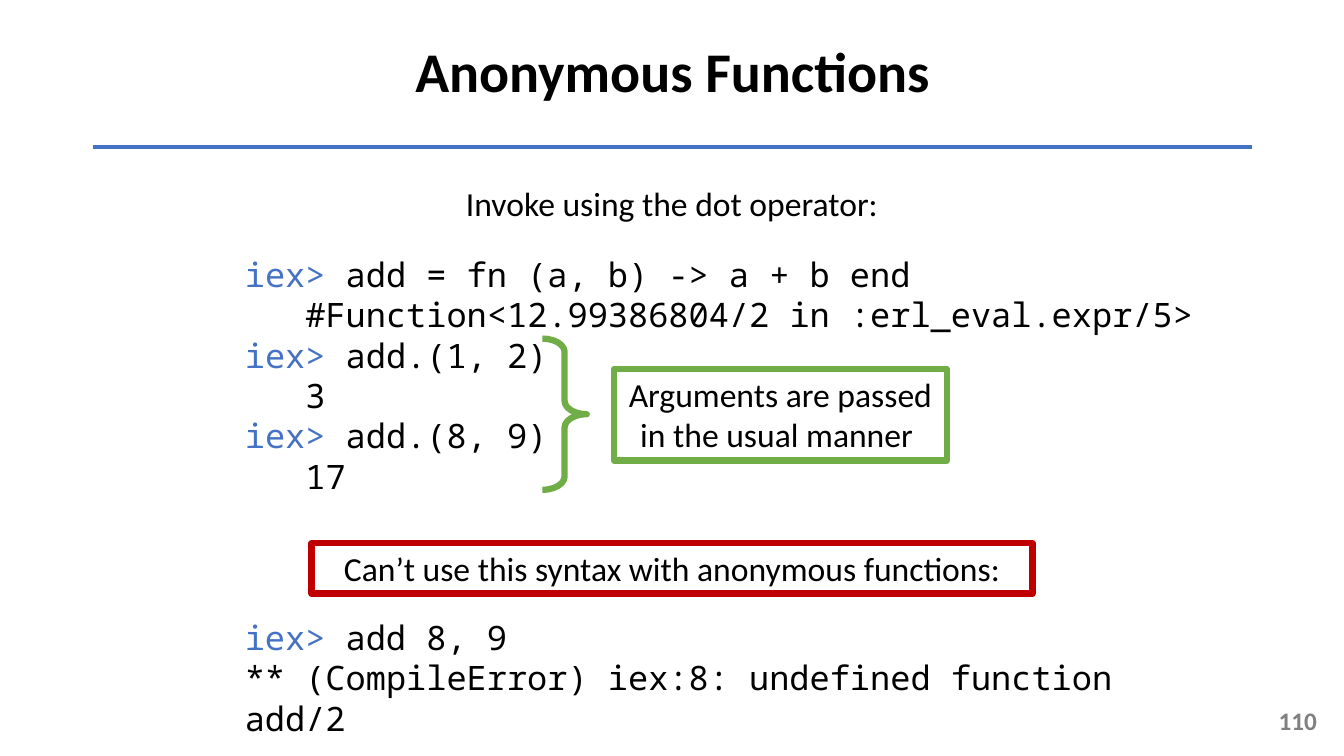
"""Build the slide on calling anonymous functions."""
from typing import NamedTuple

from lxml.etree import SubElement
from pptx import Presentation
from pptx.dml.color import RGBColor
from pptx.enum.shapes import MSO_CONNECTOR as Link, MSO_SHAPE as Form
from pptx.enum.text import MSO_ANCHOR as Anchor, MSO_AUTO_SIZE as Fit, PP_ALIGN as Align
from pptx.oxml.ns import qn
from pptx.util import Inches, Pt

BLACK = RGBColor(0x00, 0x00, 0x00)
BLUE = RGBColor(0x44, 0x72, 0xC4)
GREEN = RGBColor(0x70, 0xAD, 0x47)
RED = RGBColor(0xC0, 0x00, 0x00)
GRAY = RGBColor(0x80, 0x80, 0x80)
SANS = "Calibri"
MONO = "Noto Sans Mono"
PROMPT = "iex> "


class Box(NamedTuple):
    left: float
    top: float
    width: float
    height: float


class Note(NamedTuple):
    box: Box
    text: str
    color: RGBColor


class Code(NamedTuple):
    box: Box
    lines: list[str]


TITLE = Box(0.92, 0.01, 11.5, 1.45)
INTRO = Box(2.1, 1.77, 9.13, 0.5)
BRACE = Box(5.38, 3.36, 0.44, 1.5)
NUMBER = Box(10.16, 6.95, 3, 0.4)
RULE = 1.46

NOTES = [
    Note(Box(6.09, 3.66, 3.3, 0.91), "Arguments are passed in the usual manner ", GREEN),
    Note(Box(3.09, 5.39, 7.15, 0.5), "Can’t use this syntax with anonymous functions:", RED),
]
CODES = [
    Code(Box(2.33, 2.47, 9.89, 2.52), [
        "iex> add = fn (a, b) -> a + b end",
        "   #Function<12.99386804/2 in :erl_eval.expr/5>",
        "iex> add.(1, 2)",
        "   3",
        "iex> add.(8, 9)",
        "   17",
    ]),
    Code(Box(2.33, 6.07, 9.57, 0.91), [
        "iex> add 8, 9",
        "** (CompileError) iex:8: undefined function add/2",
    ]),
]


def place(box: Box) -> list[Inches]:
    return [Inches(side) for side in box]


def write(shape, *lines: str, font: str = SANS, size: int = 24, color: RGBColor = BLACK,
          bold: bool = False, align=Align.CENTER, anchor=Anchor.TOP, space: float = 1.0) -> None:
    frame = shape.text_frame
    frame.word_wrap = True
    frame.auto_size = Fit.NONE
    frame.vertical_anchor = anchor
    for row, line in enumerate(lines):
        para = frame.add_paragraph() if row else frame.paragraphs[0]
        para.alignment = align
        para.line_spacing = space
        parts = [(line, color)]
        if line.startswith(PROMPT):
            parts = [(PROMPT, BLUE), (line.removeprefix(PROMPT), color)]
        for text, tint in parts:
            run = para.add_run()
            run.text = text
            run.font.name = font
            run.font.size = Pt(size)
            run.font.bold = bold
            run.font.color.rgb = tint


def outline(slide, form: Form, box: Box, color: RGBColor):
    shape = slide.shapes.add_shape(form, *place(box))
    shape.shadow.inherit = False
    shape.fill.background()
    shape.line.color.rgb = color
    shape.line.width = Pt(4.5)
    return shape


def label(slide, box: Box, *lines: str, **style) -> None:
    write(slide.shapes.add_textbox(*place(box)), *lines, **style)


def main() -> None:
    deck = Presentation()
    deck.slide_width, deck.slide_height = Inches(13.33), Inches(7.5)
    slide = deck.slides.add_slide(deck.slide_layouts[5])

    title = slide.shapes.title
    title.left, title.top, title.width, title.height = place(TITLE)
    write(title, "Anonymous Functions", size=40, bold=True, anchor=Anchor.MIDDLE, space=0.9)

    rule = slide.shapes.add_connector(
        Link.STRAIGHT, Inches(TITLE.left), Inches(RULE),
        Inches(TITLE.left + TITLE.width), Inches(RULE))
    rule.line.color.rgb = BLUE
    rule.line.width = Pt(3)
    SubElement(rule.element.spPr, qn("a:effectLst"))

    label(slide, INTRO, "Invoke using the dot operator:")
    for code in CODES:
        label(slide, code.box, *code.lines, font=MONO, align=Align.LEFT)

    brace = outline(slide, Form.RIGHT_BRACE, BRACE, GREEN)
    brace.adjustments[0] = 0.3
    brace.adjustments[1] = 0.5
    for note in NOTES:
        write(outline(slide, Form.RECTANGLE, note.box, note.color), note.text)

    label(slide, NUMBER, "110", size=18, color=GRAY, bold=True,
          align=Align.RIGHT, anchor=Anchor.MIDDLE)
    deck.save("out.pptx")


if __name__ == "__main__":
    main()
